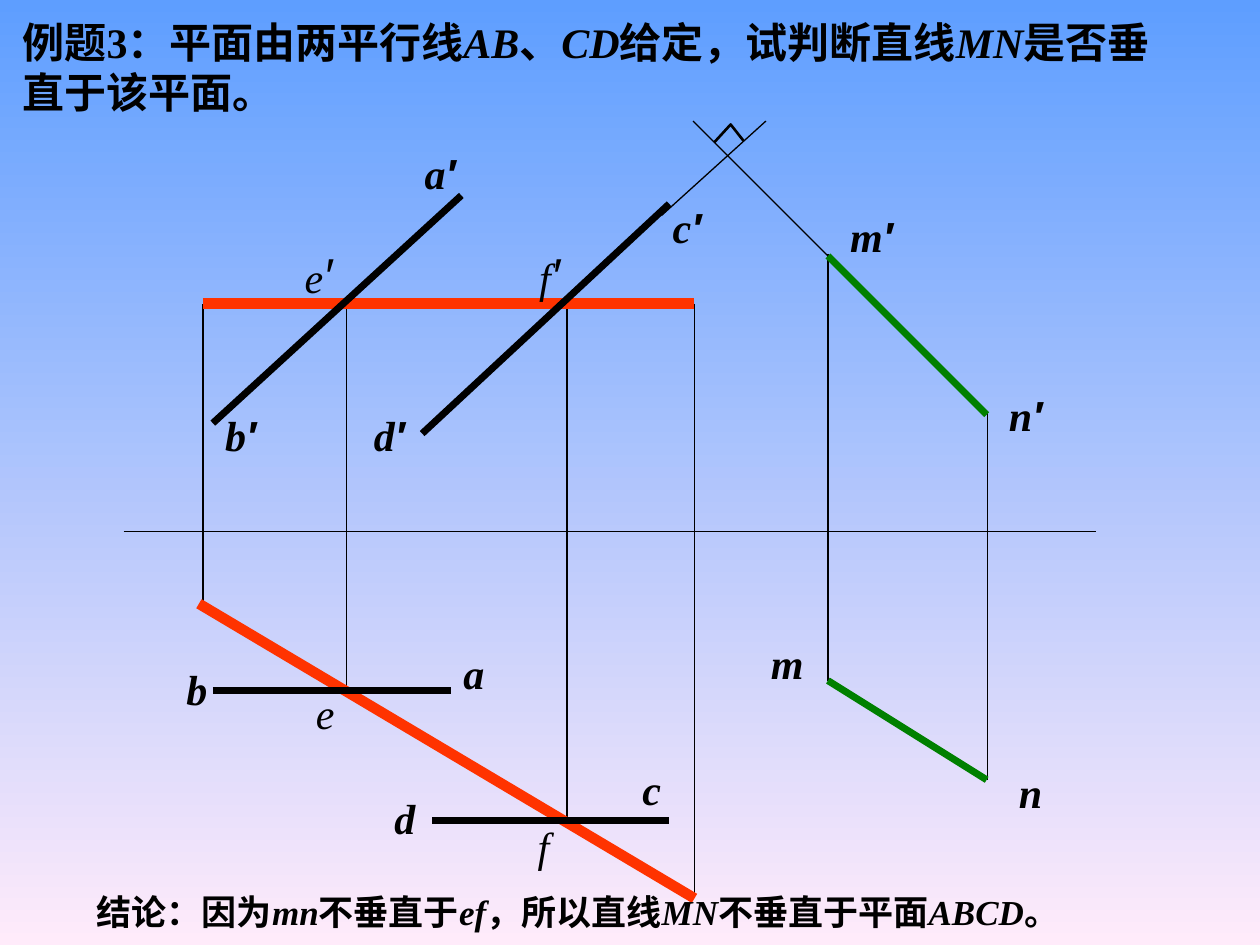
from lxml import etree
from pptx import Presentation
from pptx.dml.color import RGBColor
from pptx.enum.shapes import MSO_CONNECTOR
from pptx.enum.text import MSO_ANCHOR, MSO_AUTO_SIZE, PP_ALIGN
from pptx.oxml.ns import qn
from pptx.util import Cm, Pt

STRAIGHT = MSO_CONNECTOR.STRAIGHT
TOP, LEFT = MSO_ANCHOR.TOP, PP_ALIGN.LEFT
GROW = MSO_AUTO_SIZE.SHAPE_TO_FIT_TEXT
BLACK = RGBColor(0x00, 0x00, 0x00)
RED = RGBColor(0xFF, 0x33, 0x00)
GREEN = RGBColor(0x00, 0x80, 0x00)
SKY = RGBColor(0x5E, 0x9E, 0xFF)
PINK = RGBColor(0xFF, 0xEB, 0xFA)
SERIF, SANS, CHINESE = "Times New Roman", "Arial", "Noto Sans CJK SC"
PRIME = "′"
THIN, MEDIUM, THICK = 0.75, 4, 6

PROJECTORS = [
    (4.09, 6.12, 12.17, 1), (14, 6.12, 18.11, 1),
    (6.98, 6.05, 13.87, THIN), (11.43, 6.05, 16.61, THIN),
    (16.69, 5.13, 13.72, THIN), (19.91, 8.33, 15.72, THIN),
]
EDGES = [
    ((4.01, 12.17), (14, 18.11), RED, THICK),
    ((4.09, 6.12), (14, 6.12), RED, THICK),
    ((16.71, 5.18), (13.97, 2.44), BLACK, THIN),
    ((13.34, 4.34), (15.44, 2.44), BLACK, THIN),
    ((9.3, 3.94), (4.29, 8.53), BLACK, MEDIUM),
    ((13.49, 4.11), (8.51, 8.74), BLACK, MEDIUM),
    ((4.29, 13.92), (9.09, 13.92), BLACK, MEDIUM),
    ((8.71, 16.54), (13.49, 16.54), BLACK, MEDIUM),
    ((19.89, 8.36), (16.69, 5.16), GREEN, MEDIUM),
    ((19.89, 15.72), (16.69, 13.72), GREEN, MEDIUM),
    ((2.49, 10.72), (22.1, 10.72), BLACK, THIN),
]
RIGHT_ANGLE = [(14.4, 2.87), (14.73, 2.51), (14.99, 2.84)]
GIVEN_POINTS = [
    ("c′", 13.31, 3.94), ("b′", 4.29, 8.13), ("a′", 8.31, 2.84), ("d′", 7.29, 8.13),
    ("a", 9.09, 12.93), ("b", 3.51, 13.26), ("c", 12.7, 15.27), ("d", 7.7, 15.85),
    ("n", 20.29, 15.32), ("m", 15.29, 12.73), ("m′", 16.89, 4.11), ("n′", 20.09, 7.72),
]
AUXILIARY_POINTS = [
    ("e′", 5.89, 4.8), ("f′", 10.62, 4.8), ("e", 6.12, 13.74), ("f", 10.59, 16.41),
]


class DrawingSlide:
    """Draws lines, marks and lettering of a projection exercise on one slide."""

    def __init__(self, slide):
        self.slide = slide
        self.shapes = slide.shapes

    def background(self, top, bottom):
        fill = self.slide.background.fill
        fill.gradient()
        fill.gradient_angle = 270
        for stop, color in zip(fill.gradient_stops, (top, bottom)):
            stop.color.rgb = color

    def line(self, start, end, color, width):
        points = [Cm(value) for value in (*start, *end)]
        connector = self.shapes.add_connector(STRAIGHT, *points)
        connector.line.color.rgb = color
        connector.line.width = Pt(width)
        properties = connector._element.find(qn("p:spPr"))
        etree.SubElement(properties, qn("a:effectLst"))

    def outline(self, points, width):
        corners = [(Cm(x), Cm(y)) for x, y in points]
        builder = self.shapes.build_freeform(*corners[0])
        builder.add_line_segments(corners[1:], close=False)
        shape = builder.convert_to_shape()
        shape.shadow.inherit = False
        shape.fill.background()
        shape.line.color.rgb = BLACK
        shape.line.width = Pt(width)

    def paragraph(self, shape, size, bold):
        frame = shape.text_frame
        frame.word_wrap = True
        frame.auto_size = GROW
        frame.vertical_anchor = TOP
        paragraph = frame.paragraphs[0]
        paragraph.alignment = LEFT
        font = paragraph.font
        font.name, font.size, font.bold = SERIF, Pt(size), bold
        font.color.rgb = BLACK
        latin = font._element.find(qn("a:latin"))
        latin.addnext(latin.makeelement(qn("a:ea"), {"typeface": CHINESE}))
        return paragraph

    def sentence(self, shape, text, size):
        paragraph = self.paragraph(shape, size, True)
        for index, part in enumerate(text.split("|")):
            run = paragraph.add_run()
            run.text = part
            run.font.italic = index % 2 == 1

    def title(self, text, left, top, width, height):
        shape = self.shapes.title
        shape.left, shape.top = Cm(left), Cm(top)
        shape.width, shape.height = Cm(width), Cm(height)
        self.sentence(shape, text, 24)

    def text_box(self, left, top, width, height):
        return self.shapes.add_textbox(Cm(left), Cm(top), Cm(width), Cm(height))

    def label(self, name, left, top, bold, width, prime_size):
        height = 1.45 if PRIME in name and prime_size > 24 else 1.27
        paragraph = self.paragraph(self.text_box(left, top, width, height), 24, bold)
        paragraph.font.italic = True
        for character in name:
            run = paragraph.add_run()
            run.text = character
            if character == PRIME:
                run.font.name = SANS
                run.font.size = Pt(prime_size)


def main():
    presentation = Presentation()
    presentation.slide_width, presentation.slide_height = Cm(25.4), Cm(19.05)
    drawing = DrawingSlide(presentation.slides.add_slide(presentation.slide_layouts[5]))
    drawing.background(SKY, PINK)
    drawing.title("例题3：平面由两平行线|AB|、|CD|给定，试判断直线|MN|是否垂直于该平面。",
                  0.2, 0.2, 23.98, 2.29)
    for x, top, bottom, width in PROJECTORS:
        drawing.line((x, top), (x, bottom), BLACK, width)
    for edge in EDGES:
        drawing.line(*edge)
    drawing.outline(RIGHT_ANGLE, 1.5)
    for point in AUXILIARY_POINTS:
        drawing.label(*point, bold=False, width=1.93, prime_size=28)
    for point in GIVEN_POINTS:
        drawing.label(*point, bold=True, width=2.41, prime_size=24)
    conclusion = drawing.text_box(1.7, 17.83, 21.41, 1.12)
    drawing.sentence(conclusion, "结论：因为|mn|不垂直于|ef|，所以直线|MN|不垂直于平面|ABCD|。", 20)
    presentation.save("out.pptx")


if __name__ == "__main__":
    main()
